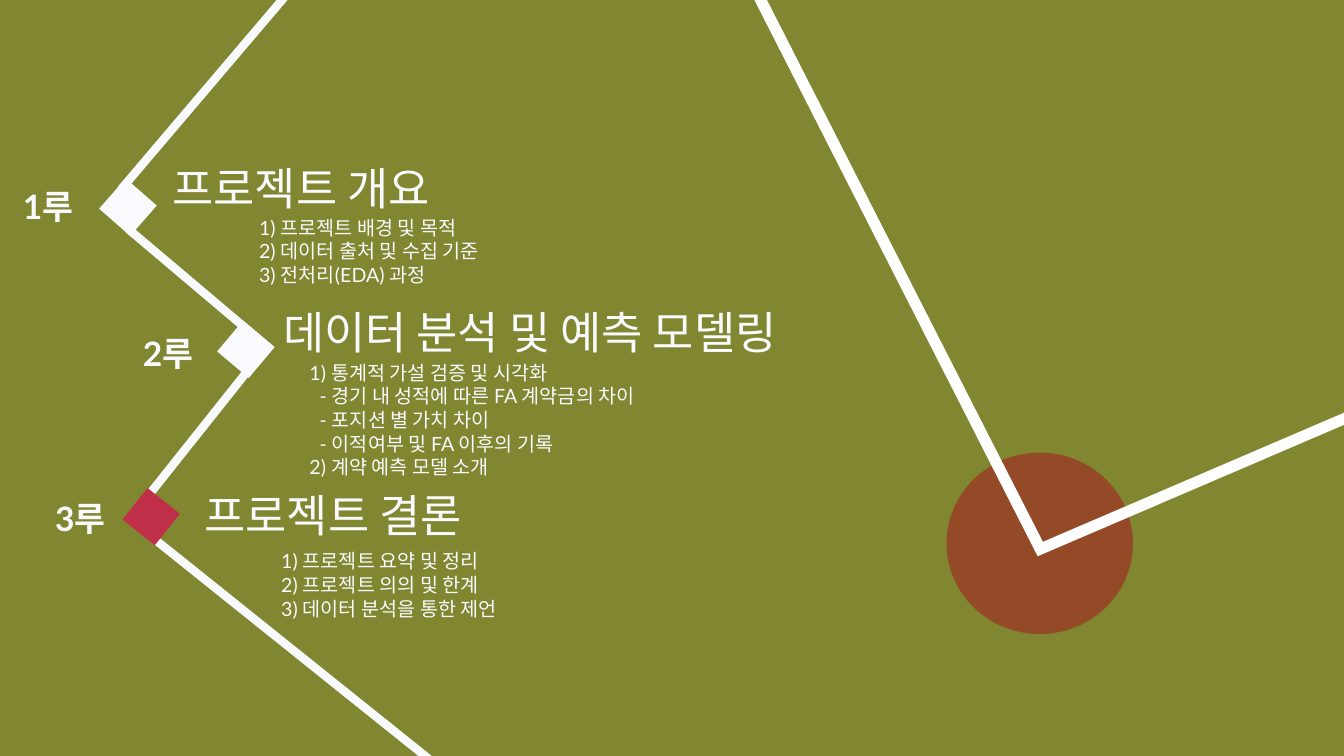
from dataclasses import dataclass

from lxml.etree import SubElement
from pptx import Presentation
from pptx.dml.color import RGBColor as Rgb
from pptx.enum.shapes import MSO_CONNECTOR as Connector
from pptx.enum.shapes import MSO_SHAPE as Preset
from pptx.enum.text import MSO_ANCHOR as Anchor
from pptx.enum.text import MSO_AUTO_SIZE as AutoSize
from pptx.enum.text import PP_ALIGN as Align
from pptx.oxml.ns import qn
from pptx.shapes.autoshape import Shape
from pptx.slide import Slide
from pptx.util import Emu, Inches, Pt

# Slide grid: 40 columns by 30 rows
WIDTH, HEIGHT = Inches(13.333), Inches(7.5)
COLUMNS, ROWS = 40, 30


@dataclass(frozen=True)
class Theme:
    font: str = "Lato"
    grass: str = "818630"
    clay: str = "944A27"
    chalk: str = "FFFFFF"
    ink: str = "F9FAFD"
    base: str = "F9FBFE"
    last_base: str = "BF2F47"
    tag_size: int = 24
    heading_size: int = 32
    list_size: int = 14
    path_width: int = 6
    foul_line_width: int = 8


@dataclass(frozen=True)
class Area:
    """Left, top, width and height in columns and rows."""
    left: float
    top: float
    width: float
    height: float


@dataclass(frozen=True)
class Base:
    tag: str
    heading: str
    items: tuple[str, ...]
    tag_area: Area
    heading_area: Area
    list_area: Area
    plate_area: Area
    rotation: float
    color: str


@dataclass(frozen=True)
class Run:
    start: tuple[float, float]
    end: tuple[float, float]


THEME = Theme()

BASES = (
    Base("1루", "프로젝트 개요",
         ("1) 프로젝트 배경 및 목적", "2) 데이터 출처 및 수집 기준", "3) 전처리(EDA) 과정"),
         Area(0.39, 7.2, 3.72, 2), Area(4.83, 6.16, 16.89, 2.56),
         Area(7.41, 8.36, 22.23, 3.24), Area(3.21, 7.4, 1.2, 1.64), 311.2, THEME.base),
    Base("2루", "데이터 분석 및 예측 모델링",
         ("1) 통계적 가설 검증 및 시각화", "- 경기 내 성적에 따른 FA 계약금의 차이",
          "- 포지션 별 가치 차이", "- 이적여부 및 FA 이후의 기록", "2) 계약 예측 모델 소개"),
         Area(3.96, 13, 3.72, 2), Area(8.13, 11.88, 17.22, 2.56),
         Area(8.91, 14.12, 22.23, 5.12), Area(6.72, 13.04, 1.2, 1.64), 310.1, THEME.base),
    Base("3루", "프로젝트 결론",
         ("1) 프로젝트 요약 및 정리", "2) 프로젝트 의의 및 한계", "3) 데이터 분석을 통한 제언"),
         Area(1.35, 19.56, 3.72, 2), Area(5.79, 19.16, 16.89, 2.56),
         Area(8.07, 21.6, 22.23, 3.24), Area(3.9, 19.68, 1.2, 1.64), 308.6, THEME.last_base),
)

RUNS = (
    Run((8.7, -0.48), (3.6, 7.52)),
    Run((3.81, 9.08), (8.07, 13.88)),
    Run((7.44, 14.6), (4.41, 19.68)),
    Run((3.78, 20.52), (13.29, 30.68)),
)

MOUND = Area(28.17, 17.96, 5.55, 7.2)
INFIELD = Area(19.77, -23.64, 33.93, 48.32)
INFIELD_ROTATION = 109.9


def col(count: float) -> Emu:
    return Emu(round(WIDTH * count / COLUMNS))


def row(count: float) -> Emu:
    return Emu(round(HEIGHT * count / ROWS))


def frame(area: Area) -> tuple[Emu, Emu, Emu, Emu]:
    return col(area.left), row(area.top), col(area.width), row(area.height)


def add_box(page: Slide, area: Area) -> Shape:
    return page.shapes.add_textbox(*frame(area))


def write(box: Shape, area: Area, lines: tuple[str, ...], size: int, bold: bool = False) -> None:
    """Place a text box or placeholder and fill it, one line a paragraph."""
    box.left, box.top, box.width, box.height = frame(area)
    text = box.text_frame
    text.word_wrap = True
    text.auto_size = AutoSize.SHAPE_TO_FIT_TEXT
    text.vertical_anchor = Anchor.TOP
    for index, line in enumerate(lines):
        para = text.paragraphs[0] if index == 0 else text.add_paragraph()
        para.text = line
        para.alignment = Align.LEFT
        para.space_before = Pt(0)
        properties = para._p.get_or_add_pPr()
        properties.set("marL", str(col(0.3) if line.startswith("-") else 0))
        properties.set("indent", "0")
        SubElement(properties, qn("a:buNone"))
        para.font.name = THEME.font
        para.font.size = Pt(size)
        para.font.bold = bold
        para.font.color.rgb = Rgb.from_string(THEME.ink)


def add_shape(page: Slide, preset: Preset, area: Area, fill: str | None = None,
              rotation: float = 0) -> Shape:
    shape = page.shapes.add_shape(preset, *frame(area))
    shape.shadow.inherit = False
    shape.rotation = rotation
    shape.line.fill.background()
    if fill:
        shape.fill.solid()
        shape.fill.fore_color.rgb = Rgb.from_string(fill)
    else:
        shape.fill.background()
    return shape


def add_run(page: Slide, run: Run) -> None:
    (x1, y1), (x2, y2) = run.start, run.end
    line = page.shapes.add_connector(Connector.STRAIGHT, col(x1), row(y1), col(x2), row(y2))
    line.line.color.rgb = Rgb.from_string(THEME.ink)
    line.line.width = Pt(THEME.path_width)
    SubElement(line.element.spPr, qn("a:effectLst"))


def add_field(page: Slide) -> None:
    add_shape(page, Preset.OVAL, MOUND, THEME.clay)
    infield = add_shape(page, Preset.DIAMOND, INFIELD, rotation=INFIELD_ROTATION)
    infield.line.color.rgb = Rgb.from_string(THEME.chalk)
    infield.line.width = Pt(THEME.foul_line_width)
    SubElement(infield.element.spPr.find(qn("a:ln")), qn("a:miter"), lim="800000")


def main() -> None:
    deck = Presentation()
    deck.slide_width, deck.slide_height = WIDTH, HEIGHT
    page = deck.slides.add_slide(deck.slide_layouts.get_by_name("Comparison"))
    page.background.fill.solid()
    page.background.fill.fore_color.rgb = Rgb.from_string(THEME.grass)

    # The layout has a title and four bodies: one body is spare
    title, *bodies = page.placeholders
    spare = bodies.pop()
    spare.element.getparent().remove(spare.element)

    # Field and base paths
    add_field(page)
    for run in RUNS:
        add_run(page, run)

    # Bases with their tags, headings and lists
    for index, (base, body) in enumerate(zip(BASES, bodies)):
        add_shape(page, Preset.RECTANGLE, base.plate_area, base.color, base.rotation)
        heading = title if index == 0 else add_box(page, base.heading_area)
        write(heading, base.heading_area, (base.heading,), THEME.heading_size)
        write(body, base.list_area, base.items, THEME.list_size)
        write(add_box(page, base.tag_area), base.tag_area, (base.tag,), THEME.tag_size, bold=True)

    deck.save("out.pptx")


if __name__ == "__main__":
    main()
